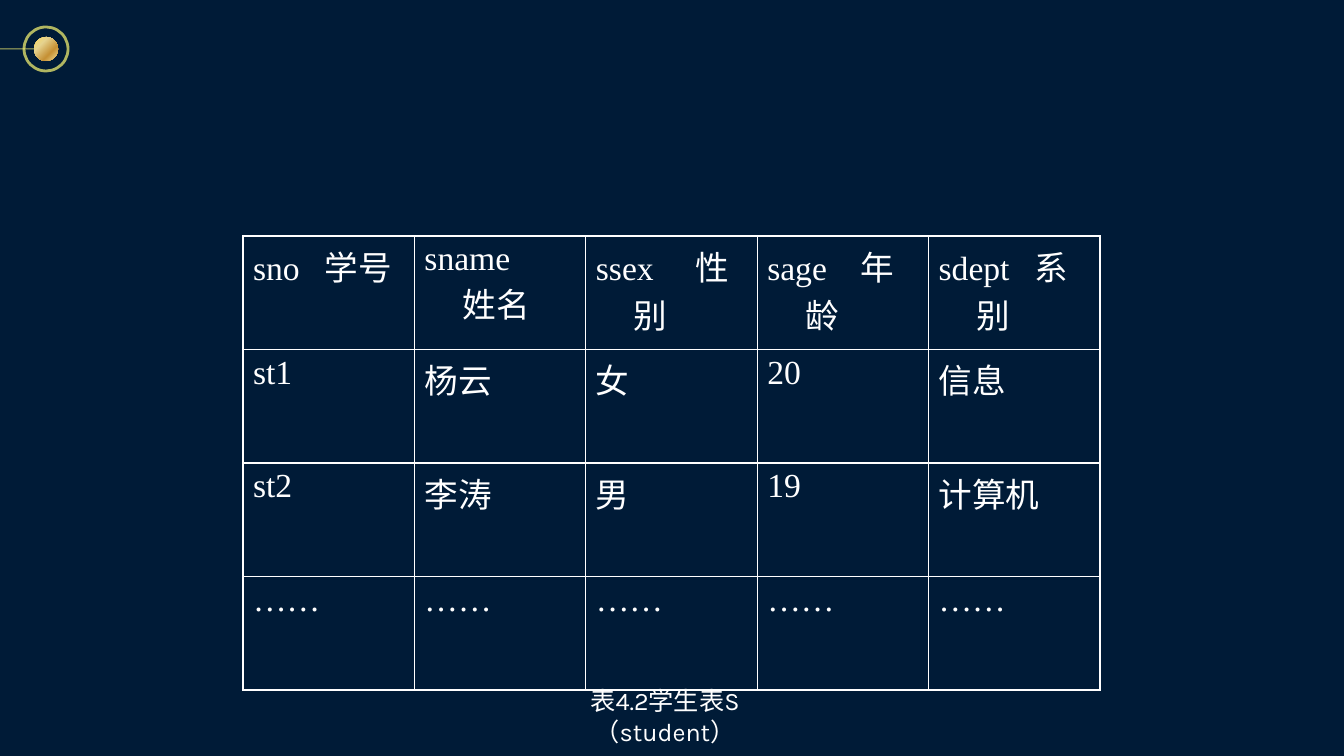
from pptx import Presentation
from pptx.dml.color import RGBColor
from pptx.enum.shapes import MSO_CONNECTOR as Line, MSO_SHAPE as Shape
from pptx.enum.text import MSO_ANCHOR as Anchor, PP_ALIGN as Align
from pptx.oxml import parse_xml
from pptx.oxml.ns import nsdecls
from pptx.util import Pt

NAVY = RGBColor(0x00, 0x1B, 0x37)
WHITE = RGBColor(0xFF, 0xFF, 0xFF)
GOLD = RGBColor(0xFC, 0xF8, 0x73)
STOPS = [(0, "FCD860"), (31, "E6D38F"), (68, "C69135"), (100, "F1DF97")]
PX = 914400 / 100.8


def px(*sizes):
    return [round(size * PX) for size in sizes]


def stroke(item, width):
    item.line.color.rgb = GOLD
    item.line.width = Pt(width)
    tint = item.line.fill._xPr.find(".//{*}srgbClr")
    tint.append(parse_xml(f'<a:alpha {nsdecls("a")} val="70000"/>'))


deck = Presentation()
deck.slide_width, deck.slide_height = px(1344, 756)
slide = deck.slides.add_slide(deck.slide_layouts[6])
slide.background.fill.solid()
slide.background.fill.fore_color.rgb = NAVY
shapes = slide.shapes

# Corner ornament: ring, line and golden disc
ring = shapes.add_shape(Shape.OVAL, *px(24, 27, 44, 44))
ring.shadow.inherit = False
ring.fill.background()
stroke(ring, 2)

lead = shapes.add_connector(Line.STRAIGHT, *px(0, 49, 34, 49))
stroke(lead, 0.75)
lead._element.spPr.append(parse_xml(f'<a:effectLst {nsdecls("a")}/>'))

disc = shapes.add_shape(Shape.OVAL, *px(34, 37, 24, 24))
disc.shadow.inherit = False
disc.line.fill.background()
disc.fill.gradient()
disc.fill.gradient_angle = 315
stops = disc._element.spPr.find(".//{*}gsLst")
for stop in list(stops):
    stops.remove(stop)
for place, tone in STOPS:
    stops.append(parse_xml(
        f'<a:gs {nsdecls("a")} pos="{place * 1000}"><a:srgbClr val="{tone}"/></a:gs>'))

# Caption
box = shapes.add_textbox(*px(513, 696, 304, 40))
frame = box.text_frame
frame.word_wrap = True
frame.vertical_anchor = Anchor.MIDDLE
para = frame.paragraphs[0]
para.text = "表4.2学生表S（student）"
para.alignment = Align.CENTER
for key, val in {"name": "Karla", "size": Pt(18)}.items():
    setattr(para.font, key, val)
para.font.color.rgb = WHITE

# Student table: each heading has a name, a label and the gap between them in points
HEADS = [("sno", "学号", 12), ("sname", "姓名", 24), ("ssex", "性别", 24),
         ("sage", "年龄", 18), ("sdept", "系别", 12)]
ROWS = [
    ["st1", "杨云", "女", "20", "信息"],
    ["st2", "李涛", "男", "19", "计算机"],
    ["……"] * 5,
]
FORMAT = {"name": "Times New Roman", "size": Pt(24), "bold": False}
EDGES = ("lnL", "lnR", "lnT", "lnB")
INDENT = px(38)[0]

table = shapes.add_table(len(ROWS) + 1, len(HEADS), *px(243, 236, 857, 454)).table
table.first_row = table.horz_banding = False
for col, (name, label, gap) in enumerate(HEADS):
    para = table.cell(0, col).text_frame.paragraphs[0]
    for part in (name, " ", label):
        run = para.add_run()
        run.text = part
        if part == " ":
            run.font._element.set("spc", str(gap * 100))
for row, texts in enumerate(ROWS, 1):
    for col, text in enumerate(texts):
        table.cell(row, col).text = text

# Cell look: white type, hanging indent, thin white borders
for cell in table.iter_cells():
    para = cell.text_frame.paragraphs[0]
    props = para._p.get_or_add_pPr()
    props.set("marL", str(INDENT))
    props.set("indent", str(-INDENT))
    for run in para.runs:
        for key, val in FORMAT.items():
            setattr(run.font, key, val)
        run.font.color.rgb = WHITE
    look = cell._tc.get_or_add_tcPr()
    for edge in EDGES:
        look.append(parse_xml(
            f'<a:{edge} {nsdecls("a")} w="{Pt(1)}"><a:solidFill>'
            f'<a:srgbClr val="{WHITE}"/></a:solidFill></a:{edge}>'))
    cell.fill.background()

deck.save("out.pptx")
